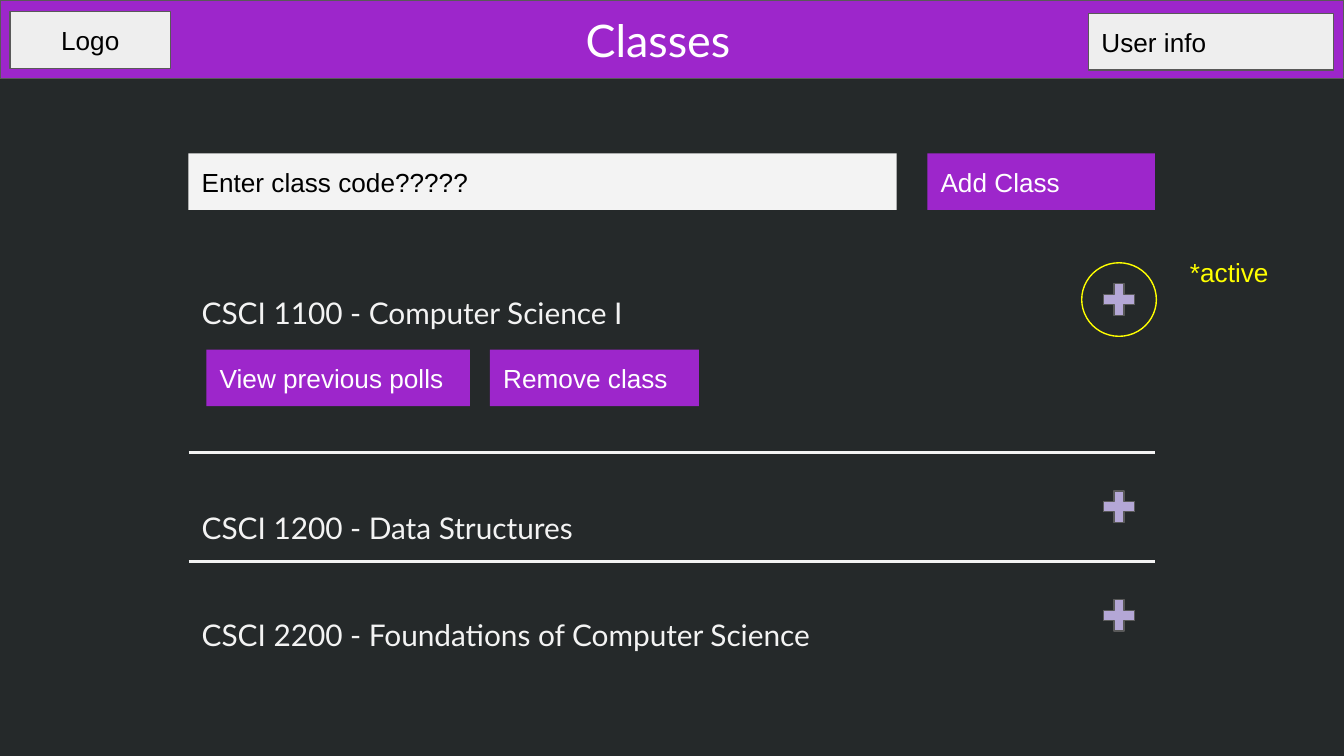
"""Build the Classes screen mock-up as a single slide."""
from lxml import etree
from pptx import Presentation
from pptx.dml.color import RGBColor
from pptx.enum.shapes import MSO_CONNECTOR, MSO_SHAPE
from pptx.enum.text import MSO_ANCHOR, MSO_AUTO_SIZE, PP_ALIGN
from pptx.oxml.ns import qn
from pptx.util import Pt

BACKGROUND = RGBColor(0x25, 0x29, 0x2A)
PURPLE = RGBColor(0x9D, 0x26, 0xCB)
LAVENDER = RGBColor(0xB4, 0xA7, 0xD6)
PALE = RGBColor(0xEE, 0xEE, 0xEE)
OFF_WHITE = RGBColor(0xF3, 0xF3, 0xF3)
WHITE = RGBColor(0xFF, 0xFF, 0xFF)
GRAY = RGBColor(0x59, 0x59, 0x59)
BLACK = RGBColor(0, 0, 0)
YELLOW = RGBColor(0xFF, 0xFF, 0)


def add_shape(kind, left, top, width, height, fill=None, line=None):
    shape = slide.shapes.add_shape(kind, Pt(left), Pt(top), Pt(width), Pt(height))
    shape.shadow.inherit = False
    if fill is None:
        shape.fill.background()
    else:
        shape.fill.solid()
        shape.fill.fore_color.rgb = fill
    if line is None:
        shape.line.fill.background()
    else:
        shape.line.color.rgb = line
        shape.line.width = Pt(0.75)
    return shape


def write(shape, lines, size, font, color, align=PP_ALIGN.LEFT, anchor=MSO_ANCHOR.MIDDLE):
    frame = shape.text_frame
    frame.text = "\n".join(lines)
    frame.word_wrap = True
    frame.auto_size = MSO_AUTO_SIZE.NONE
    frame.vertical_anchor = anchor
    frame.margin_left = frame.margin_right = Pt(7.2)
    frame.margin_top = frame.margin_bottom = Pt(7.2)
    for paragraph in frame.paragraphs:
        paragraph.alignment = align
        paragraph.font.size = Pt(size)
        paragraph.font.name = font
        paragraph.font.color.rgb = color


presentation = Presentation()
presentation.slide_width, presentation.slide_height = Pt(720), Pt(405)
slide = presentation.slides.add_slide(presentation.slide_layouts[5])
slide.background.fill.solid()
slide.background.fill.fore_color.rgb = BACKGROUND

header = add_shape(MSO_SHAPE.RECTANGLE, 0, 0, 720, 42, PURPLE, GRAY)
title = slide.shapes.title
title.left, title.top, title.width, title.height = Pt(242), Pt(0), Pt(221), Pt(42)
write(title, ["Classes"], 24, "Lato", WHITE, PP_ALIGN.CENTER)
title.element.addprevious(header.element)

boxes = [
    ("Logo", 5.4, 6.3, 86, PALE, GRAY, BLACK, PP_ALIGN.CENTER),
    ("User info", 583, 7.3, 131.5, PALE, GRAY, BLACK, PP_ALIGN.LEFT),
    ("Enter class code?????", 101, 82.2, 379.4, OFF_WHITE, None, BLACK, PP_ALIGN.LEFT),
    ("Add Class", 496.8, 82.2, 122, PURPLE, None, WHITE, PP_ALIGN.LEFT),
    ("View previous polls", 110.6, 187.3, 141.2, PURPLE, None, WHITE, PP_ALIGN.LEFT),
    ("Remove class", 262.5, 187.3, 112, PURPLE, None, WHITE, PP_ALIGN.LEFT),
]
for label, left, top, width, fill, line, color, align in boxes:
    box = add_shape(MSO_SHAPE.RECTANGLE, left, top, width, 30.3, fill, line)
    write(box, [label], 14, "Arial", color, align)

classes = [
    "CSCI 1100 - Computer Science I",
    "CSCI 1200 - Data Structures",
    "CSCI 2200 - Foundations of Computer Science",
]
class_list = slide.shapes.add_textbox(Pt(101), Pt(141), Pt(422.6), Pt(186.5))
write(class_list, classes, 16, "Lato", OFF_WHITE, anchor=MSO_ANCHOR.TOP)
for paragraph, gap in zip(class_list.text_frame.paragraphs, (0, 86.4, 28.8)):
    paragraph.line_spacing = 1.5
    paragraph.space_before = Pt(gap)

for top in (242.3, 300.8):
    divider = slide.shapes.add_connector(
        MSO_CONNECTOR.STRAIGHT, Pt(101), Pt(top), Pt(618.8), Pt(top))
    divider.line.color.rgb = OFF_WHITE
    divider.line.width = Pt(1.5)
    etree.SubElement(divider.element.spPr, qn("a:effectLst"))

for top in (149, 260, 318.2):
    plus = add_shape(MSO_SHAPE.MATH_PLUS, 588, top, 23, 23, LAVENDER, GRAY)
    plus.adjustments[0] = 0.235

add_shape(MSO_SHAPE.OVAL, 579.5, 140.8, 40, 39.4, line=YELLOW)
active_note = slide.shapes.add_textbox(Pt(630.4), Pt(130.3), Pt(74), Pt(39.6))
write(active_note, ["*active"], 14, "Arial", YELLOW, anchor=MSO_ANCHOR.TOP)

presentation.save("out.pptx")
